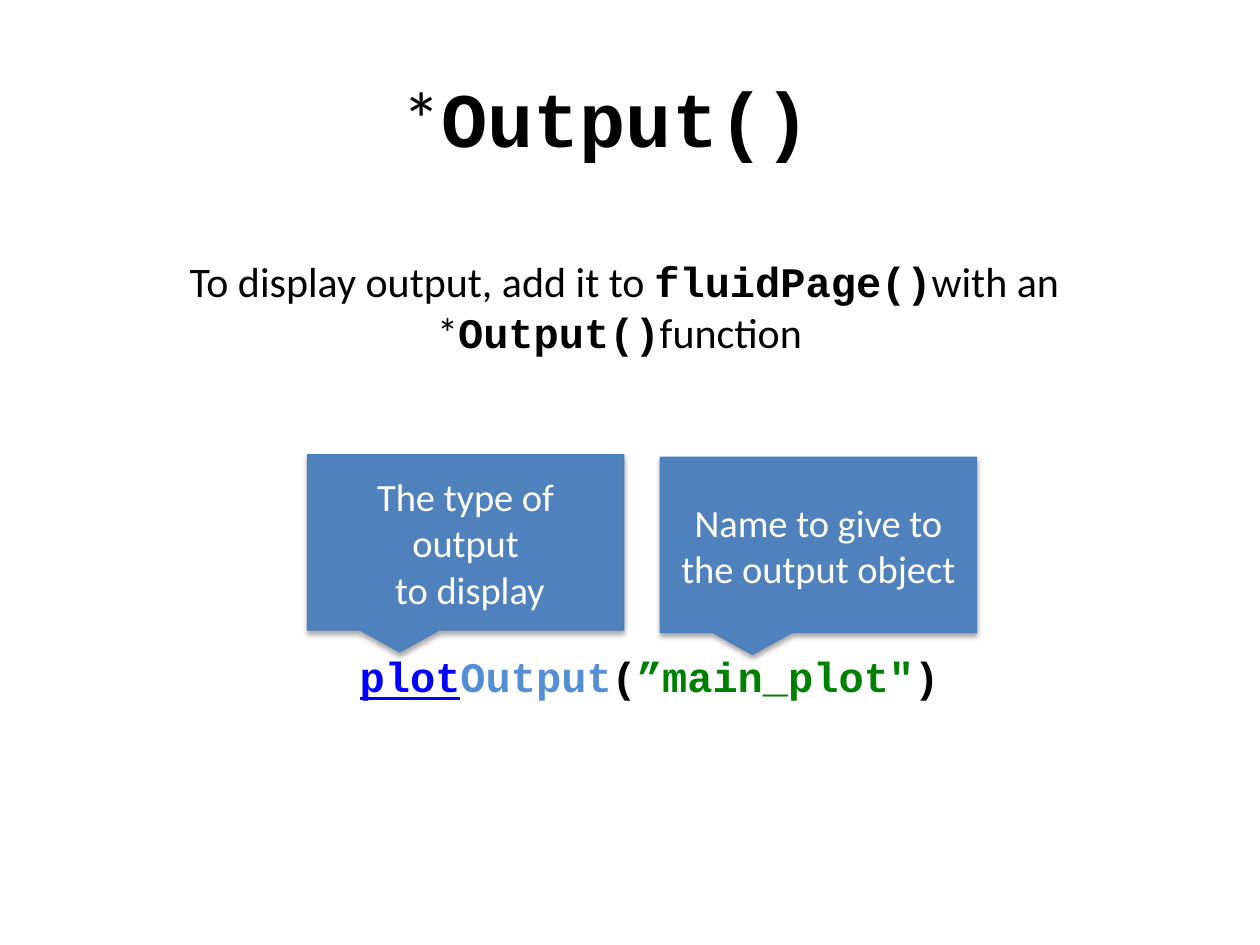
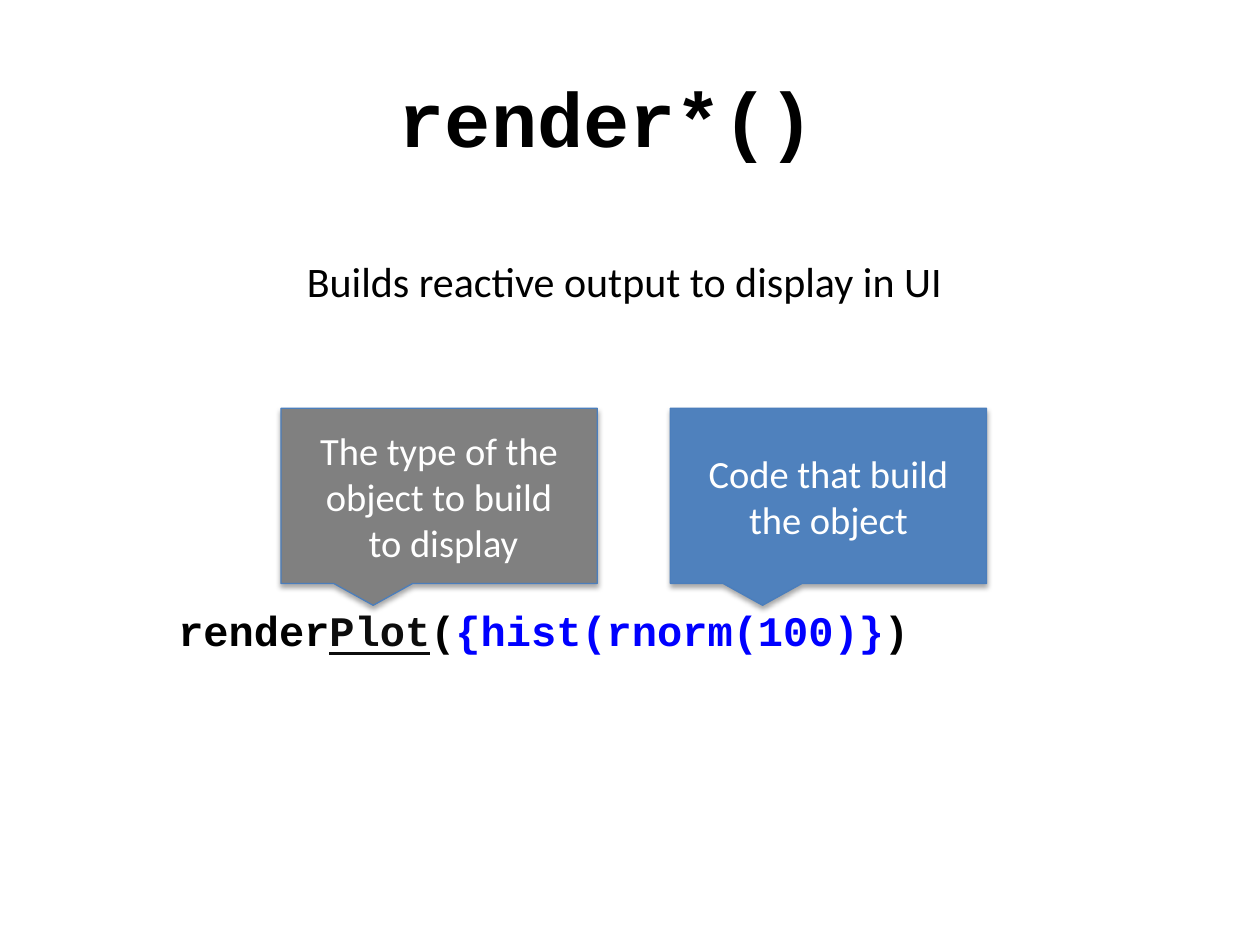
"""Builds two slides that explain the output and render functions."""
import pptx
import pptx.dml.color
import pptx.enum.shapes
import pptx.enum.text
import pptx.oxml
import pptx.oxml.ns
import pptx.util
from pptx.util import Inches

COLORS = {
    "black": "000000",
    "white": "FFFFFF",
    "blue": "4F81BD",
    "edge": "4B7EBC",
    "gray": "808080",
    "code_blue": "0000FF",
    "code_light": "558ED5",
    "code_green": "008000",
    "code_dark": "0D0D0D",
}
BODY_FONT = "Calibri"
CODE_FONT = "Courier New"
SHADOW = (
    f'<a:effectLst {pptx.oxml.ns.nsdecls("a")}>'
    '<a:outerShdw blurRad="40000" dist="23000" dir="5400000" rotWithShape="0">'
    f'<a:srgbClr val="{COLORS["black"]}"><a:alpha val="35000"/></a:srgbClr>'
    "</a:outerShdw></a:effectLst>"
)


def color(name):
    return pptx.dml.color.RGBColor.from_string(COLORS[name])


def plain(text, color_name="black"):
    return text, BODY_FONT, color_name, False


def code(text, color_name="black", underline=False):
    return text, CODE_FONT, color_name, underline


class SlideBuilder:
    """Holds the deck style and draws elements on the current slide."""

    def __init__(self, deck):
        self.deck = deck
        self.page = None

    def new_page(self):
        self.page = self.deck.slides.add_slide(self.deck.slide_layouts[6])

    def fill_para(self, para, spans, size):
        para.alignment = pptx.enum.text.PP_ALIGN.CENTER
        for text, font_name, color_name, underline in spans:
            span = para.add_run()
            span.text = text
            span.font.name = font_name
            span.font.size = pptx.util.Pt(size)
            span.font.bold = font_name == CODE_FONT
            span.font.underline = underline
            span.font.color.rgb = color(color_name)

    def text(self, left, top, width, height, spans, size=24):
        box = self.page.shapes.add_textbox(
            Inches(left), Inches(top), Inches(width), Inches(height))
        box.text_frame.word_wrap = True
        self.fill_para(box.text_frame.paragraphs[0], spans, size)
        return box

    def title(self, *spans):
        box = self.text(0.5, 0.3, 9, 1.25, spans, size=44)
        box.text_frame.vertical_anchor = pptx.enum.text.MSO_ANCHOR.MIDDLE

    def intro(self, height, *spans):
        self.text(0.79, 1.98, 8.33, height, spans)

    def callout(self, left, top, lines, fill="blue"):
        box = self.page.shapes.add_shape(
            pptx.enum.shapes.MSO_SHAPE.RECTANGULAR_CALLOUT,
            Inches(left), Inches(top), Inches(2.51), Inches(1.39))
        box.fill.solid()
        box.fill.fore_color.rgb = color(fill)
        box.line.color.rgb = color("edge")
        box.line.width = pptx.util.Pt(0.75)
        box.element.spPr.append(pptx.oxml.parse_xml(SHADOW))
        frame = box.text_frame
        frame.word_wrap = True
        frame.vertical_anchor = pptx.enum.text.MSO_ANCHOR.MIDDLE
        for index, line in enumerate(lines):
            para = frame.add_paragraph() if index else frame.paragraphs[0]
            self.fill_para(para, [plain(line, "white")], 22)


def output_page(builder):
    builder.new_page()
    builder.title(plain("*"), code("Output() "))
    builder.intro(
        0.91,
        plain("To display output, add it to "), code("fluidPage()"),
        plain("with an *"), code("Output()"), plain("function "))
    builder.text(2.66, 5.11, 4.99, 0.5, [
        code("plot", "code_blue", underline=True),
        code("Output", "code_light"),
        code("("),
        code('”main_plot"', "code_green"),
        code(")"),
    ])
    builder.callout(2.44, 3.61, ["The type of output", " to display"])
    builder.callout(5.24, 3.63, ["Name to give to the output object"])


def render_page(builder):
    builder.new_page()
    builder.title(code("render*() "))
    builder.intro(0.5, plain("Builds reactive output to display in UI"))
    builder.text(0.79, 4.75, 7.05, 0.5, [
        code("render"),
        code("Plot", "code_dark", underline=True),
        code("("),
        code("{hist(rnorm(100)}", "code_blue"),
        code(")"),
    ])
    builder.callout(
        2.23, 3.24, ["The type of the object to build", " to display"], "gray")
    builder.callout(5.32, 3.24, ["Code that build the object"])


def main():
    deck = pptx.Presentation()
    deck.slide_width = Inches(10)
    deck.slide_height = Inches(7.5)
    builder = SlideBuilder(deck)
    output_page(builder)
    render_page(builder)
    deck.save("out.pptx")


if __name__ == "__main__":
    main()
